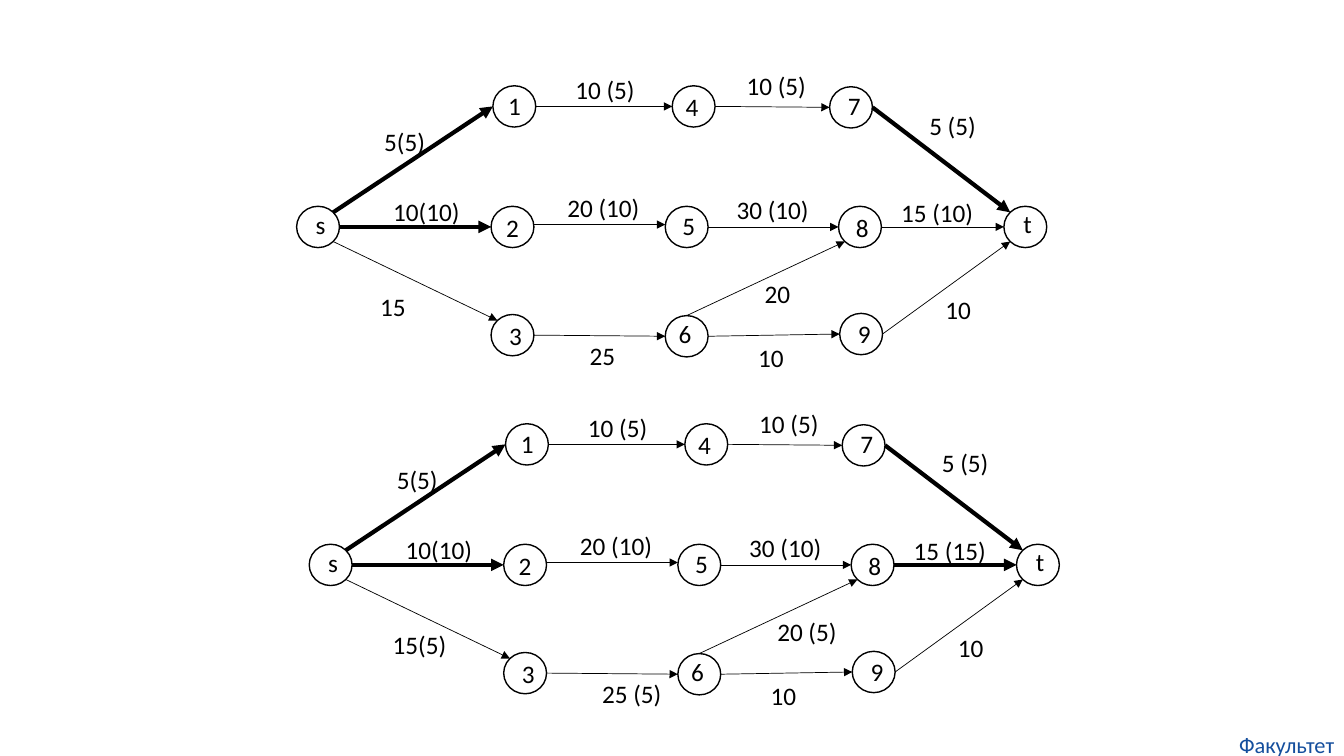
from dataclasses import dataclass
from enum import Enum

from lxml.etree import SubElement
from pptx import Presentation
from pptx.dml.color import RGBColor
from pptx.enum.shapes import MSO_CONNECTOR, MSO_SHAPE
from pptx.enum.text import MSO_AUTO_SIZE, PP_ALIGN
from pptx.oxml.ns import qn
from pptx.slide import Slide
from pptx.util import Pt

COLORS = {"ink": "000000", "footer": "144E9D"}
FONT = "Calibri"
NODE_WIDTH, NODE_HEIGHT = 30.6, 29.5
LABEL_SIZE, LABEL_HEIGHT, LABEL_INSET = 18, 29.1, 7.2
THIN, THICK = 0.5, 3
DIAGONAL = 0.707
# Character widths at the label size; digits and letters use the default
CHARACTER_WIDTHS = {"(": 5.45, ")": 5.45, " ": 4.07, "s": 7.04, "t": 6.03}
DIGIT_WIDTH = 9.12
# Shift of each network: right, down
NETWORK_OFFSETS = [(0, 0), (9, 241.4)]


class Side(Enum):
    """Direction from the centre of a node to a point on its rim."""
    LEFT = (-1, 0)
    RIGHT = (1, 0)
    TOP = (0, -1)
    TOP_LEFT = (-DIAGONAL, -DIAGONAL)
    TOP_RIGHT = (DIAGONAL, -DIAGONAL)
    BOTTOM_LEFT = (-DIAGONAL, DIAGONAL)
    BOTTOM_RIGHT = (DIAGONAL, DIAGONAL)


@dataclass
class Node:
    name: str
    center_x: float
    center_y: float
    label_dx: float
    label_dy: float

    def rim(self, side: Side) -> tuple[float, float]:
        across, down = side.value
        return (self.center_x + across * NODE_WIDTH / 2,
                self.center_y + down * NODE_HEIGHT / 2)


@dataclass
class Edge:
    start: str
    end: str
    labels: tuple[str, str]       # one per network
    label_left: float
    label_top: float
    saturated: tuple[bool, bool] = (False, False)
    start_side: Side = Side.RIGHT
    end_side: Side = Side.LEFT
    lift: float = 0


NODES = [
    Node("s", 227.2, 162.1, 1.8, -1.1),
    Node("1", 367.4, 76, 0.2, 0),
    Node("2", 366.1, 162.1, 0, 0.9),
    Node("3", 366.1, 239.4, 2.2, 0.8),
    Node("4", 495.5, 76, -1.2, 0.7),
    Node("5", 490.5, 162.1, 1.6, -0.5),
    Node("6", 490.5, 240.2, -1.2, -1.5),
    Node("7", 607.9, 76.7, 2.3, -0.7),
    Node("8", 614.3, 162.1, 1.6, 0.9),
    Node("9", 615.1, 238.6, 2.3, 0),
    Node("t", 732.4, 162.1, 1.6, -2),
]
NODES_BY_NAME = {node.name: node for node in NODES}

EDGES = [
    Edge("s", "1", ("5(5)", "5(5)"), 267.4, 86.5, (True, True),
         start_side=Side.TOP_RIGHT),
    Edge("1", "4", ("10 (5)", "10 (5)"), 403.9, 49.2),
    Edge("4", "7", ("10 (5)", "10 (5)"), 526.2, 46.8),
    Edge("7", "t", ("5 (5)", "5 (5)"), 656.7, 74.9, (True, True),
         end_side=Side.TOP_LEFT),
    Edge("s", "2", ("10(10)", "10(10)"), 273.7, 136.8, (True, True)),
    Edge("2", "5", ("20 (10)", "20 (10)"), 398.2, 133.9, lift=1.7),
    Edge("5", "8", ("30 (10)", "30 (10)"), 519.1, 135.4),
    Edge("8", "t", ("15 (10)", "15 (15)"), 636.6, 137.5, (False, True)),
    Edge("s", "3", ("15", "15(5)"), 264.4, 204.7,
         start_side=Side.BOTTOM_RIGHT, end_side=Side.TOP_LEFT),
    Edge("3", "6", ("25", "25 (5)"), 414, 239.8),
    Edge("6", "9", ("10", "10"), 534.4, 241.2),
    Edge("9", "t", ("10", "10"), 668.2, 206.6, end_side=Side.BOTTOM_LEFT),
    Edge("6", "8", ("20", "20 (5)"), 539.1, 195.3,
         start_side=Side.TOP, end_side=Side.BOTTOM_LEFT),
]


def color(name: str) -> RGBColor:
    return RGBColor.from_string(COLORS[name])


def label_width(text: str) -> float:
    glyphs = sum(CHARACTER_WIDTHS.get(letter, DIGIT_WIDTH) for letter in text)
    return glyphs + 2 * LABEL_INSET


def add_text(slide: Slide, text: str, left: float, top: float, width: float,
             height: float, size: float = LABEL_SIZE, ink: str = "ink",
             inset: bool = True, align: PP_ALIGN = PP_ALIGN.LEFT) -> None:
    shape = slide.shapes.add_textbox(Pt(left), Pt(top), Pt(width), Pt(height))
    frame = shape.text_frame
    frame.word_wrap = not inset
    frame.auto_size = MSO_AUTO_SIZE.SHAPE_TO_FIT_TEXT
    if not inset:
        frame.margin_left = frame.margin_right = Pt(0)
        frame.margin_top = frame.margin_bottom = Pt(0)
    paragraph = frame.paragraphs[0]
    paragraph.alignment = align
    run = paragraph.add_run()
    run.text = text
    run.font.name = FONT
    run.font.size = Pt(size)
    run.font.color.rgb = color(ink)


def add_node(slide: Slide, node: Node, dx: float, dy: float) -> None:
    center_x, center_y = node.center_x + dx, node.center_y + dy
    circle = slide.shapes.add_shape(
        MSO_SHAPE.OVAL, Pt(center_x - NODE_WIDTH / 2),
        Pt(center_y - NODE_HEIGHT / 2), Pt(NODE_WIDTH), Pt(NODE_HEIGHT))
    circle.shadow.inherit = False
    circle.fill.background()
    circle.line.color.rgb = color("ink")
    circle.line.width = Pt(1)
    width = label_width(node.name)
    add_text(slide, node.name, center_x + node.label_dx - width / 2,
             center_y + node.label_dy - NODE_HEIGHT / 2, width, LABEL_HEIGHT,
             align=PP_ALIGN.CENTER)


def add_edge(slide: Slide, edge: Edge, network: int,
             dx: float, dy: float) -> None:
    start_x, start_y = NODES_BY_NAME[edge.start].rim(edge.start_side)
    end_x, end_y = NODES_BY_NAME[edge.end].rim(edge.end_side)
    arrow = slide.shapes.add_connector(
        MSO_CONNECTOR.STRAIGHT,
        Pt(start_x + dx), Pt(start_y + dy - edge.lift),
        Pt(end_x + dx), Pt(end_y + dy - edge.lift))
    arrow.line.color.rgb = color("ink")
    arrow.line.width = Pt(THICK if edge.saturated[network] else THIN)
    SubElement(arrow.line._get_or_add_ln(), qn("a:tailEnd"), type="triangle")
    SubElement(arrow._element.spPr, qn("a:effectLst"))
    text = edge.labels[network]
    add_text(slide, text, edge.label_left + dx, edge.label_top + dy,
             label_width(text), LABEL_HEIGHT)


def main() -> None:
    presentation = Presentation()
    presentation.slide_width, presentation.slide_height = Pt(960), Pt(540)
    slide = presentation.slides.add_slide(presentation.slide_layouts[6])

    # Footer
    add_text(slide, "Факультет", 878.4, 522, 81.4, 19.4, size=16,
             ink="footer", inset=False, align=PP_ALIGN.CENTER)

    # Flow networks before and after the augmenting step
    for network, (dx, dy) in enumerate(NETWORK_OFFSETS):
        for node in NODES:
            add_node(slide, node, dx, dy)
        for edge in EDGES:
            add_edge(slide, edge, network, dx, dy)

    presentation.save("out.pptx")


if __name__ == "__main__":
    main()
